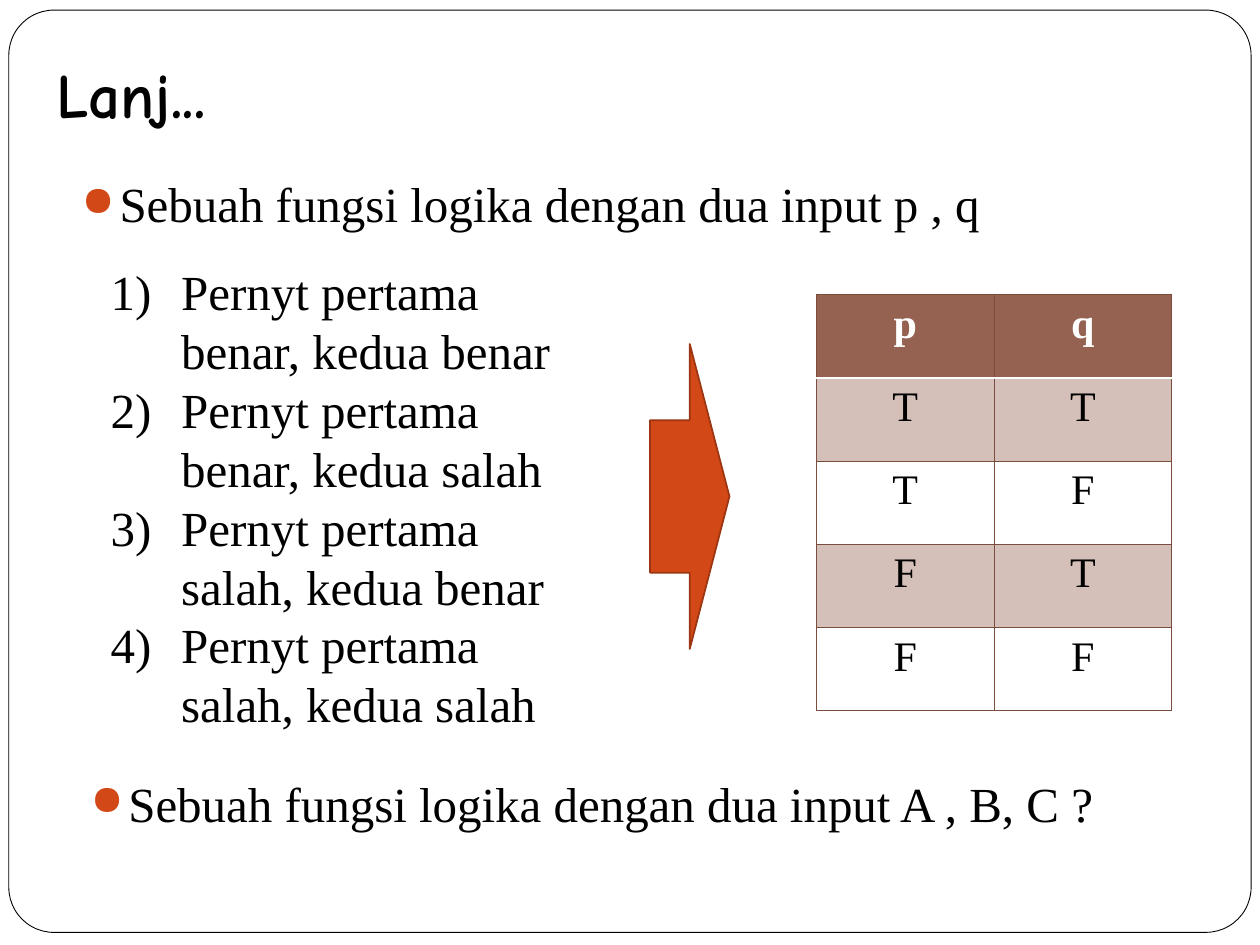
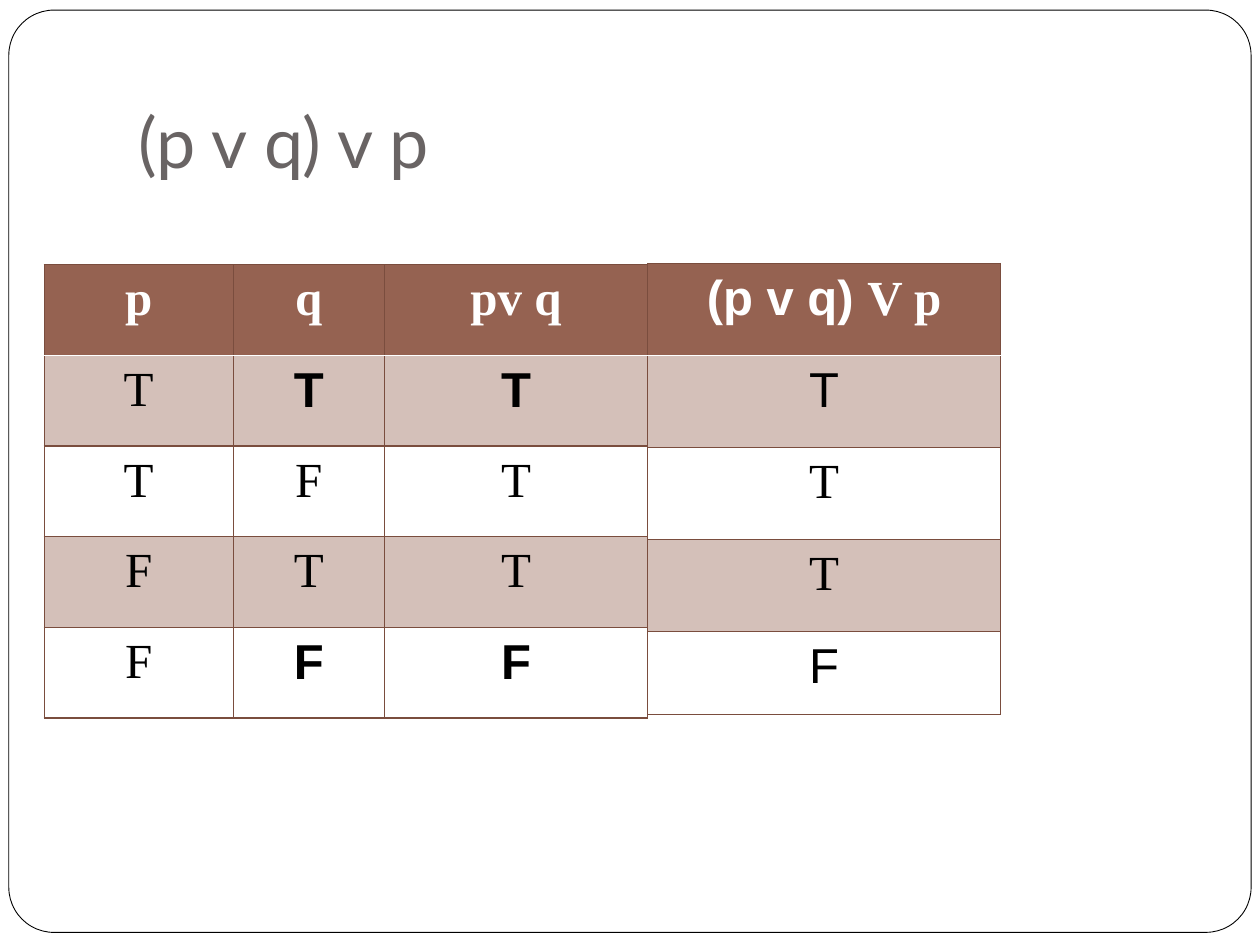
from lxml import etree
from pptx import Presentation
from pptx import util as u
from pptx.dml.color import RGBColor
from pptx.enum import shapes, text
from pptx.oxml import ns

PX = 9144  # EMU per px, 100 px to the inch

BLACK = RGBColor(0x00, 0x00, 0x00)
WHITE = RGBColor(0xFF, 0xFF, 0xFF)
GREY = RGBColor(0x69, 0x64, 0x64)
ORANGE = RGBColor(0xD3, 0x48, 0x17)
RUST = RGBColor(0x9C, 0x35, 0x11)
BROWN = RGBColor(0x95, 0x62, 0x51)
DARK_BROWN = RGBColor(0x7A, 0x4D, 0x3E)

SERIF = "Times New Roman"
SANS = "Arial"


def px(*lengths):
    return [u.Emu(length * PX) for length in lengths]


def add_xml(parent, tag, **attributes):
    return etree.SubElement(parent, ns.qn(tag), attributes)


class Deck:
    """Holds the shared style and the slide being built."""

    def __init__(self):
        self.prs = Presentation()
        self.prs.slide_width, self.prs.slide_height = px(1000, 750)
        self.slide = None

    def new_slide(self):
        self.slide = self.prs.slides.add_slide(self.prs.slide_layouts[6])
        frame = self.shape(shapes.MSO_SHAPE.ROUNDED_RECTANGLE,
                           (7, 8, 986, 732), WHITE, BLACK, 0.5)
        frame.adjustments[0] = 0.049

    def shape(self, kind, box, fill, line, width):
        shape = self.slide.shapes.add_shape(kind, *px(*box))
        shape.shadow.inherit = False
        shape.fill.solid()
        shape.fill.fore_color.rgb = fill
        shape.line.color.rgb = line
        shape.line.width = u.Pt(width)
        return shape

    def style(self, run, size, font=SERIF, color=BLACK, bold=False):
        run.font.size = u.Pt(size)
        run.font.name = font
        run.font.color.rgb = color
        run.font.bold = bold

    def text_box(self, box, lines, size, **style):
        frame = self.slide.shapes.add_textbox(*px(*box)).text_frame
        frame.word_wrap = True
        frame.text = "\n".join(lines)
        for paragraph in frame.paragraphs:
            self.style(paragraph.runs[0], size, **style)
        return frame

    def title(self, box, words, size, **style):
        frame = self.text_box(box, [words], size, **style)
        frame.vertical_anchor = text.MSO_ANCHOR.BOTTOM
        frame.margin_bottom = px(10)[0]

    def indent(self, paragraph, left, hanging):
        props = paragraph._p.get_or_add_pPr()
        props.set("marL", str(left * PX))
        props.set("indent", str(-hanging * PX))
        return props

    def bullet(self, box, words):
        paragraph = self.text_box(box, [words], 28).paragraphs[0]
        paragraph.space_before = u.Pt(6)
        props = self.indent(paragraph, 30, 30)
        color = add_xml(props, "a:buClr")
        add_xml(color, "a:srgbClr", val=str(ORANGE))
        add_xml(props, "a:buSzPct", val="85000")
        add_xml(props, "a:buChar", char="●")

    def numbered(self, box, lines):
        for paragraph in self.text_box(box, lines, 28).paragraphs:
            props = self.indent(paragraph, 72, 56)
            add_xml(props, "a:buFont", typeface=SERIF)
            add_xml(props, "a:buAutoNum", type="arabicParenR")

    def border(self, cell, side, color, width):
        line = add_xml(cell._tc.get_or_add_tcPr(), f"a:{side}",
                       w=str(u.Pt(width)))
        fill = add_xml(line, "a:solidFill")
        add_xml(fill, "a:srgbClr", val=str(color))

    def cell(self, cell, row, runs, size, margins, space):
        header = row == 0
        cell.margin_left = cell.margin_right = px(margins[0])[0]
        cell.margin_top = cell.margin_bottom = px(margins[1])[0]

        # Borders come before the fill in the cell properties
        for side in ("lnL", "lnR", "lnT", "lnB"):
            under_header = (header and side == "lnB") or (row == 1 and side == "lnT")
            color, width = (WHITE, 1) if under_header else (DARK_BROWN, 0.75)
            self.border(cell, side, color, width)

        # Header is solid, odd rows are tinted, even rows stay clear
        if header or row % 2:
            cell.fill.solid()
            cell.fill.fore_color.rgb = BROWN
            if not header:
                tint = cell._tc.tcPr.find(".//" + ns.qn("a:solidFill") + "[last()]")
                tint = cell._tc.tcPr.findall(ns.qn("a:solidFill"))[0]
                add_xml(tint[0], "a:alpha", val="40000")
        else:
            cell.fill.background()

        paragraph = cell.text_frame.paragraphs[0]
        paragraph.alignment = text.PP_ALIGN.CENTER
        paragraph.space_before = u.Pt(space)
        for words, font, bold in runs:
            run = paragraph.add_run()
            run.text = words
            self.style(run, size, font, WHITE if header else BLACK,
                       header or bold)

    def table(self, left, top, columns, heights, rows, size,
              margins=(12, 6), space=6):
        """Each cell is plain serif words or a list of (words, font, bold)."""
        grid = self.slide.shapes.add_table(
            len(rows), len(columns),
            *px(left, top, sum(columns), sum(heights))).table
        for column, width in zip(grid.columns, px(*columns)):
            column.width = width
        for row, height in zip(grid.rows, px(*heights)):
            row.height = height
        for r, row in enumerate(rows):
            for c, value in enumerate(row):
                runs = [(value, SERIF, False)] if isinstance(value, str) else value
                self.cell(grid.cell(r, c), r, runs, size, margins, space)


def build_inputs(deck):
    deck.new_slide()
    deck.title((35, 31, 933, 83), "Lanj...", 36, font="Comic Neue", bold=True)
    deck.bullet((55, 133, 891, 78), "Sebuah fungsi logika dengan dua input p , q")

    # Truth table of the two inputs
    deck.table(648, 234, [141] * 2, [66] * 5,
               ["pq", "TT", "TF", "FT", "FF"], 24, margins=(10, 5), space=0)

    # The four cases and the arrow to the table
    truths = ("benar", "salah")
    deck.numbered((62, 203, 414, 387),
                  [f"Pernyt pertama {first}, kedua {second}"
                   for first in truths for second in truths])
    deck.shape(shapes.MSO_SHAPE.RIGHT_ARROW, (516, 273, 63, 242),
               ORANGE, RUST, 1)

    deck.bullet((62, 609, 891, 78),
                "Sebuah fungsi logika dengan dua input A , B, C ?")


def build_disjunction(deck):
    deck.new_slide()
    deck.title((100, 30, 850, 125), "(p v q) v p", 40, font="Lato", color=GREY)

    # Inputs and their disjunction
    strong_true, strong_false = [("T", SANS, True)], [("F", SANS, True)]
    deck.table(35, 210, [150, 120, 209], [72] * 5, [
        ["p", "q", "pv q"],
        ["T", strong_true, strong_true],
        ["T", "F", "T"],
        ["F", "T", "T"],
        ["F", strong_false, strong_false],
    ], 28)

    # Result column
    deck.table(514, 209, [280], [73] * 4 + [66], [
        [[("(p v q) ", SANS, True), ("V p", SERIF, True)]],
        [[("T", SANS, False)]],
        ["T"],
        ["T"],
        [[("F", SANS, False)]],
    ], 28)


def main():
    deck = Deck()
    build_inputs(deck)
    build_disjunction(deck)
    deck.prs.save("out.pptx")


if __name__ == "__main__":
    main()
